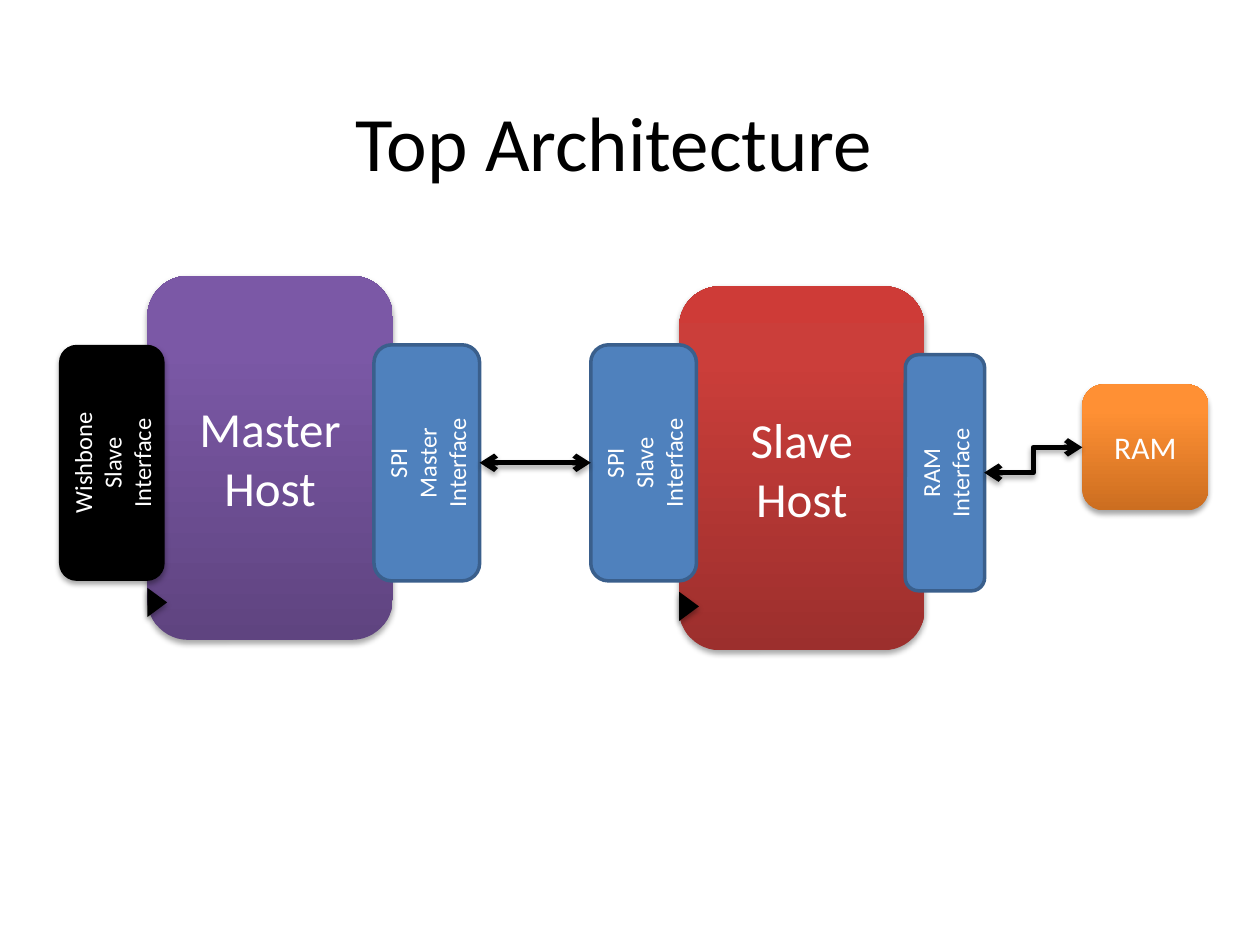
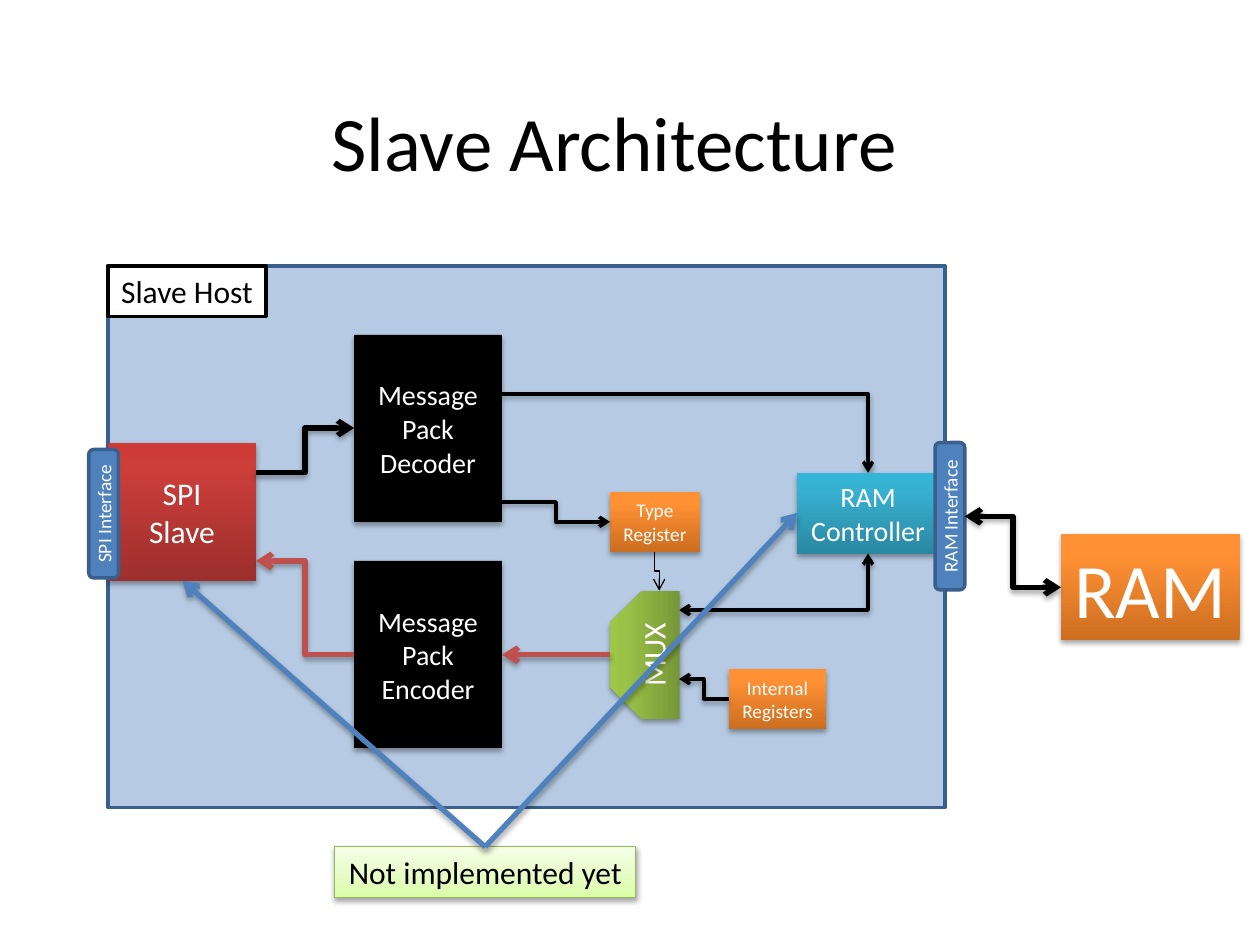
from lxml import etree
from pptx import Presentation
from pptx.dml.color import RGBColor
from pptx.enum.shapes import MSO_CONNECTOR, MSO_SHAPE
from pptx.enum.text import MSO_ANCHOR, PP_ALIGN
from pptx.oxml.ns import qn
from pptx.util import Cm, Pt

RECTANGLE = MSO_SHAPE.RECTANGLE
ROUNDED = MSO_SHAPE.ROUNDED_RECTANGLE
TRIANGLE = MSO_SHAPE.ISOSCELES_TRIANGLE
SNIPPED = MSO_SHAPE.SNIP_2_SAME_RECTANGLE
STRAIGHT, ELBOW = MSO_CONNECTOR.STRAIGHT, MSO_CONNECTOR.ELBOW
CENTER, MIDDLE = PP_ALIGN.CENTER, MSO_ANCHOR.MIDDLE

FONT = "Calibri"
TITLE_ONLY = 5
BLACK = RGBColor(0x00, 0x00, 0x00)
WHITE = RGBColor(0xFF, 0xFF, 0xFF)
BLUE = RGBColor(0x4F, 0x81, 0xBD)
DARK_BLUE = RGBColor(0x3A, 0x5F, 0x8C)
RED = RGBColor(0xC0, 0x50, 0x4D)
LIME_EDGE = RGBColor(0x98, 0xB9, 0x55)

# Gradients run from bottom to top: (position in percent, colour)
RED_GRADIENT = ((0, RGBColor(0x9C, 0x2F, 0x2D)), (80, RGBColor(0xCB, 0x3E, 0x3A)),
                (100, RGBColor(0xCE, 0x3B, 0x37)))
PURPLE_GRADIENT = ((0, RGBColor(0x5F, 0x44, 0x80)), (80, RGBColor(0x7B, 0x58, 0xA6)),
                   (100, RGBColor(0x7C, 0x57, 0xA8)))
ORANGE_GRADIENT = ((0, RGBColor(0xCC, 0x6E, 0x20)), (80, RGBColor(0xFF, 0x90, 0x34)),
                   (100, RGBColor(0xFF, 0x91, 0x36)))
TEAL_GRADIENT = ((0, RGBColor(0x2A, 0x88, 0xA2)), (80, RGBColor(0x37, 0xB1, 0xD2)),
                 (100, RGBColor(0x34, 0xB4, 0xD6)))
GREEN_GRADIENT = ((0, RGBColor(0x77, 0x97, 0x37)), (80, RGBColor(0x9B, 0xC3, 0x48)),
                  (100, RGBColor(0x9D, 0xC7, 0x46)))
LIME_GRADIENT = ((0, RGBColor(0xDA, 0xFD, 0xA7)), (35, RGBColor(0xE4, 0xFC, 0xC2)),
                 (100, RGBColor(0xF5, 0xFF, 0xE7)))


def add_element(parent, tag, **attributes):
    element = etree.SubElement(parent, qn(tag))
    for name, value in attributes.items():
        element.set(name, str(value))
    return element


class DiagramDeck:
    """Holds the diagram style and the slide being drawn; lengths are in cm."""

    def __init__(self):
        self.presentation = Presentation()
        self.presentation.slide_width = Cm(25.4)
        self.presentation.slide_height = Cm(19.05)
        self.slide = None

    def new_slide(self, title):
        layout = self.presentation.slide_layouts[TITLE_ONLY]
        self.slide = self.presentation.slides.add_slide(layout)
        shape = self.slide.shapes.title
        shape.left, shape.top = Cm(1.59), Cm(0.79)
        shape.width, shape.height = Cm(21.59), Cm(4.09)
        self.add_text(shape, title, 44, BLACK)

    def add_text(self, shape, text, size, color, wrap=True):
        frame = shape.text_frame
        frame.word_wrap = wrap
        frame.vertical_anchor = MIDDLE
        for index, line in enumerate(text.split("\n")):
            paragraph = frame.add_paragraph() if index else frame.paragraphs[0]
            paragraph.alignment = CENTER
            run = paragraph.add_run()
            run.text = line
            run.font.name = FONT
            run.font.size = Pt(size)
            run.font.color.rgb = color

    def add_shadow(self, effects):
        shadow = add_element(effects, "a:outerShdw", blurRad=40000, dist=23000,
                             dir=5400000, rotWithShape=0)
        color = add_element(shadow, "a:srgbClr", val=BLACK)
        add_element(color, "a:alpha", val=35000)

    def paint(self, shape, fill):
        if isinstance(fill, RGBColor):
            shape.fill.solid()
            shape.fill.fore_color.rgb = fill
            return
        shape.fill.gradient()
        shape.fill.gradient_angle = 90
        stops = shape._element.spPr.find(qn("a:gradFill")).find(qn("a:gsLst"))
        stops.clear()
        for position, color in fill:
            stop = add_element(stops, "a:gs", pos=position * 1000)
            add_element(stop, "a:srgbClr", val=color)

    def block(self, kind, left, top, width, height, fill, text="", size=18,
              color=WHITE, line=None, line_width=2, shadow=True, wrap=False, rotation=0):
        """Place a shape by the box it covers on the slide, after any quarter turn."""
        if rotation:
            left, top = left + (width - height) / 2, top + (height - width) / 2
            width, height = height, width
        shape = self.slide.shapes.add_shape(kind, Cm(left), Cm(top), Cm(width), Cm(height))
        shape.rotation = rotation
        self.paint(shape, fill)
        if line is None:
            shape.line.fill.background()
        else:
            shape.line.color.rgb = line
            shape.line.width = Pt(line_width)
        shape.shadow.inherit = False
        if shadow:
            self.add_shadow(shape._element.spPr.find(qn("a:effectLst")))
        if text:
            self.add_text(shape, text, size, color, wrap)
        return shape

    def interface(self, left, top, width, height, text, size=14):
        self.block(ROUNDED, left, top, width, height, BLUE, text, size,
                   line=DARK_BLUE, shadow=False, rotation=270)

    def clock_mark(self, left, top):
        self.block(TRIANGLE, left, top, 0.4, 0.59, BLACK, rotation=90)

    def arrow(self, start, end, color=BLACK, width=3, both=False, kind=ELBOW,
              corner=False, downward=False, shadow=True):
        """Elbows leave sideways; a downward one is drawn lying and turned by 90 degrees."""
        (x1, y1), (x2, y2) = start, end
        if downward:
            middle_x, middle_y = (x1 + x2) / 2, (y1 + y2) / 2
            half_x, half_y = (x2 - x1) / 2, (y2 - y1) / 2
            x1, y1 = middle_x - half_y, middle_y + half_x
            x2, y2 = middle_x + half_y, middle_y - half_x
        connector = self.slide.shapes.add_connector(kind, Cm(x1), Cm(y1), Cm(x2), Cm(y2))
        connector.line.color.rgb = color
        connector.line.width = Pt(width)
        properties = connector._element.spPr
        if downward:
            properties.find(qn("a:xfrm")).set("rot", "5400000")
        if corner:
            properties.find(qn("a:prstGeom")).set("prst", "bentConnector2")
        outline = properties.find(qn("a:ln"))
        if both:
            add_element(outline, "a:headEnd", type="arrow")
        add_element(outline, "a:tailEnd", type="arrow")
        effects = add_element(properties, "a:effectLst")
        if shadow:
            self.add_shadow(effects)


deck = DiagramDeck()

# Slide 1: master, slave and memory
deck.new_slide("Top Architecture")
deck.block(ROUNDED, 13.69, 5.77, 4.95, 7.34, RED_GRADIENT, "Slave\nHost", 28)
deck.block(ROUNDED, 2.97, 5.56, 4.95, 7.34, PURPLE_GRADIENT, "Master\nHost", 28)
deck.block(ROUNDED, 1.19, 6.95, 2.13, 4.76, BLACK, "Wishbone\nSlave\nInterface", 14,
           rotation=270)
deck.interface(7.54, 6.95, 2.13, 4.76, "SPI\nMaster\nInterface")
deck.interface(11.91, 6.95, 2.13, 4.76, "SPI\nSlave\nInterface")
deck.interface(18.25, 7.15, 1.6, 4.76, "RAM\nInterface")
deck.arrow((9.67, 9.33), (11.91, 9.33), both=True)
deck.block(ROUNDED, 21.82, 7.75, 2.54, 2.54, ORANGE_GRADIENT, "RAM")
deck.arrow((19.84, 9.53), (21.82, 9.02), both=True)
deck.clock_mark(2.97, 11.85)
deck.clock_mark(13.69, 11.93)

# Slide 2: inside the slave host
deck.new_slide("Slave Architecture")
host = deck.block(RECTANGLE, 2.18, 5.36, 16.87, 10.92, BLUE, line=DARK_BLUE, shadow=False)
host_color = host._element.spPr.find(qn("a:solidFill"))[0]
add_element(host_color, "a:alpha", val=41000)

# SPI side and message packs
deck.block(RECTANGLE, 2.18, 8.93, 2.98, 2.78, RED_GRADIENT, "SPI\nSlave")
deck.interface(1.79, 9.06, 0.6, 2.59, "SPI Interface", 11)
for top, role in ((6.75, "Decoder"), (11.31, "Encoder")):
    deck.block(RECTANGLE, 7.14, top, 2.98, 3.77, BLACK, f"Message Pack {role}", 16, wrap=True)
deck.arrow((5.16, 9.53), (7.14, 8.63))
deck.arrow((7.14, 13.2), (5.16, 11.31), RED)

# Registers, controller and multiplexer
deck.block(RECTANGLE, 12.3, 9.92, 1.81, 1.2, ORANGE_GRADIENT, "Type\nRegister", 11)
deck.arrow((10.12, 10.12), (12.3, 10.52), width=2)
deck.arrow((10.12, 7.94), (17.5, 9.53), width=2, corner=True)
deck.block(RECTANGLE, 16.07, 9.53, 2.86, 1.63, TEAL_GRADIENT, "RAM\nController", 16)
deck.arrow((13.69, 12.3), (17.5, 11.16), width=2, both=True, corner=True)
deck.block(RECTANGLE, 14.69, 13.49, 1.97, 1.2, ORANGE_GRADIENT, "Internal\nRegisters", 11)
mux = deck.block(SNIPPED, 12.3, 11.91, 1.4, 2.59, GREEN_GRADIENT, "MUX", rotation=90)
mux.adjustments[0], mux.adjustments[1] = 0.46, 0
mux._element.spPr.find(qn("a:xfrm")).set("flipV", "1")
deck.arrow((14.69, 14.09), (13.69, 13.69), width=2)
deck.arrow((13.2, 11.12), (13.29, 11.91), width=0.75, downward=True, shadow=False)
deck.arrow((12.3, 13.2), (10.12, 13.2), RED)

# Host label and external memory
deck.interface(18.85, 8.92, 0.6, 2.97, "RAM Interface", 11)
deck.block(RECTANGLE, 2.18, 5.36, 3.18, 1.02, WHITE, "Slave Host", color=BLACK,
           line=BLACK, shadow=False)
deck.block(RECTANGLE, 21.39, 10.77, 3.6, 2.14, ORANGE_GRADIENT, "RAM", 44)
deck.arrow((19.45, 10.41), (21.39, 11.84), both=True)

# Note on the missing parts
deck.block(RECTANGLE, 6.75, 17.07, 6.07, 1.02, LIME_GRADIENT, "Not implemented yet",
           color=BLACK, line=LIME_EDGE, line_width=0.75)
for target in ((3.68, 11.71), (16.07, 10.34)):
    deck.arrow((9.78, 17.07), target, BLUE, kind=STRAIGHT)

deck.presentation.save("out.pptx")
